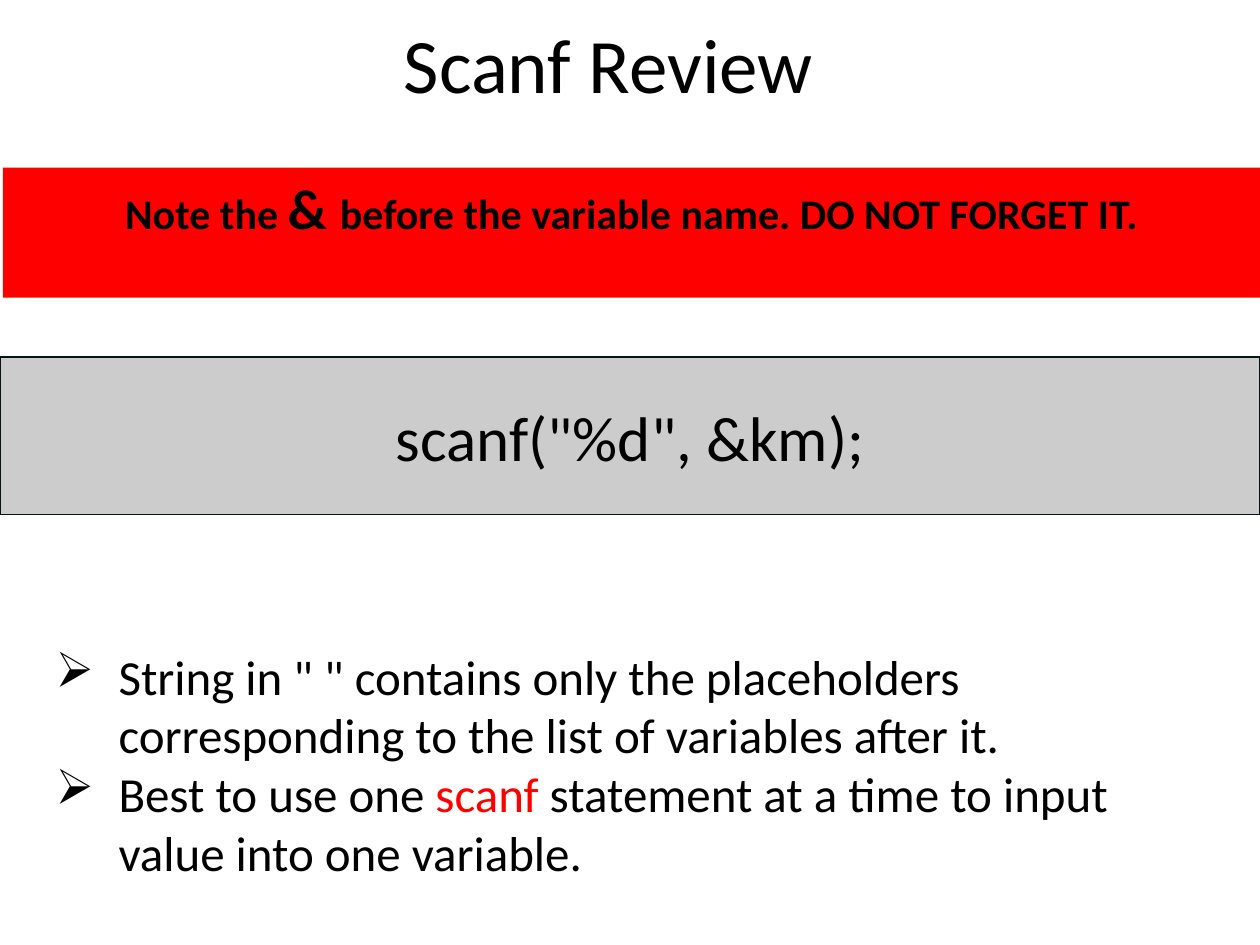
import pptx
import pptx.util
import pptx.dml.color
import pptx.enum.shapes
import pptx.enum.text
import pptx.oxml
import pptx.oxml.ns

Cm = pptx.util.Cm
Pt = pptx.util.Pt
CENTER = pptx.enum.text.PP_ALIGN.CENTER
ANCHOR = pptx.enum.text.MSO_ANCHOR
FONT = "Calibri"
COLORS = {"text": "000000", "alert": "FF0000", "code": "CCCCCC", "border": "071215"}


def color(name):
    return pptx.dml.color.RGBColor.from_string(COLORS[name])


def style(font, size, name="text", bold=False):
    font.name = FONT
    font.size = Pt(size)
    font.bold = bold
    font.color.rgb = color(name)


def place(shape, box):
    shape.left, shape.top, shape.width, shape.height = (Cm(value) for value in box)


def add_title(slide, box):
    title = slide.shapes.title
    place(title, box)
    title.text_frame.text = "Scanf Review"
    title.text_frame.vertical_anchor = ANCHOR.MIDDLE
    paragraph = title.text_frame.paragraphs[0]
    paragraph.alignment = CENTER
    style(paragraph.font, 44)


def add_band(slide, box, fill, anchor):
    band = slide.shapes.add_shape(
        pptx.enum.shapes.MSO_SHAPE.RECTANGLE, *(Cm(value) for value in box))
    band.shadow.inherit = False
    band.fill.solid()
    band.fill.fore_color.rgb = color(fill)
    band.line.fill.background()
    band.text_frame.word_wrap = True
    band.text_frame.vertical_anchor = anchor
    band.text_frame.paragraphs[0].alignment = CENTER
    return band


def add_code(slide, box):
    band = add_band(slide, box, "code", ANCHOR.MIDDLE)
    band.line.color.rgb = color("border")
    band.line.width = Pt(0.75)
    paragraph = band.text_frame.paragraphs[0]
    paragraph.add_run().text = 'scanf("%d", &km);'
    style(paragraph.font, 36)


def add_warning(slide, box):
    paragraph = add_band(slide, box, "alert", ANCHOR.TOP).text_frame.paragraphs[0]
    for text, size in (("Note the ", 24), ("& ", 32),
                       ("before the variable name. DO NOT FORGET IT.", 24)):
        run = paragraph.add_run()
        run.text = text
        style(run.font, size, bold=True)


def add_bullet(paragraph, indent):
    properties = paragraph._p.get_or_add_pPr()
    properties.set("marL", str(Cm(indent)))
    properties.set("indent", str(-Cm(indent)))
    namespace = pptx.oxml.ns.nsdecls("a")
    for xml in (f'<a:buClr {namespace}><a:srgbClr val="{COLORS["text"]}"/></a:buClr>',
                f'<a:buFont {namespace} typeface="Wingdings" charset="2"/>',
                f'<a:buChar {namespace} char="Ø"/>'):
        properties.append(pptx.oxml.parse_xml(xml))


def add_notes_list(slide, box):
    frame = slide.shapes.add_textbox(*(Cm(value) for value in box)).text_frame
    frame.word_wrap = True
    items = (
        (('String in " " contains only the placeholders corresponding to '
          'the list of variables after it.', "text"),),
        (("Best to use one ", "text"), ("scanf ", "alert"),
         ("statement at a time to input value into one variable.", "text")),
    )
    for index, item in enumerate(items):
        paragraph = frame.add_paragraph() if index else frame.paragraphs[0]
        add_bullet(paragraph, 1.27)
        style(paragraph.font, 28)
        for text, name in item:
            run = paragraph.add_run()
            run.text = text
            style(run.font, 28, name)


def main():
    presentation = pptx.Presentation()
    presentation.slide_width = Cm(25.4)
    presentation.slide_height = Cm(19.05)
    slide = presentation.slides.add_slide(presentation.slide_layouts[5])
    add_title(slide, (1.47, 0, 21.59, 2.54))
    add_code(slide, (0, 7.2, 25.4, 3.18))
    add_warning(slide, (0.06, 3.38, 25.34, 2.62))
    add_notes_list(slide, (0.87, 12.9, 23.5, 6.15))
    presentation.save("out.pptx")


if __name__ == "__main__":
    main()
